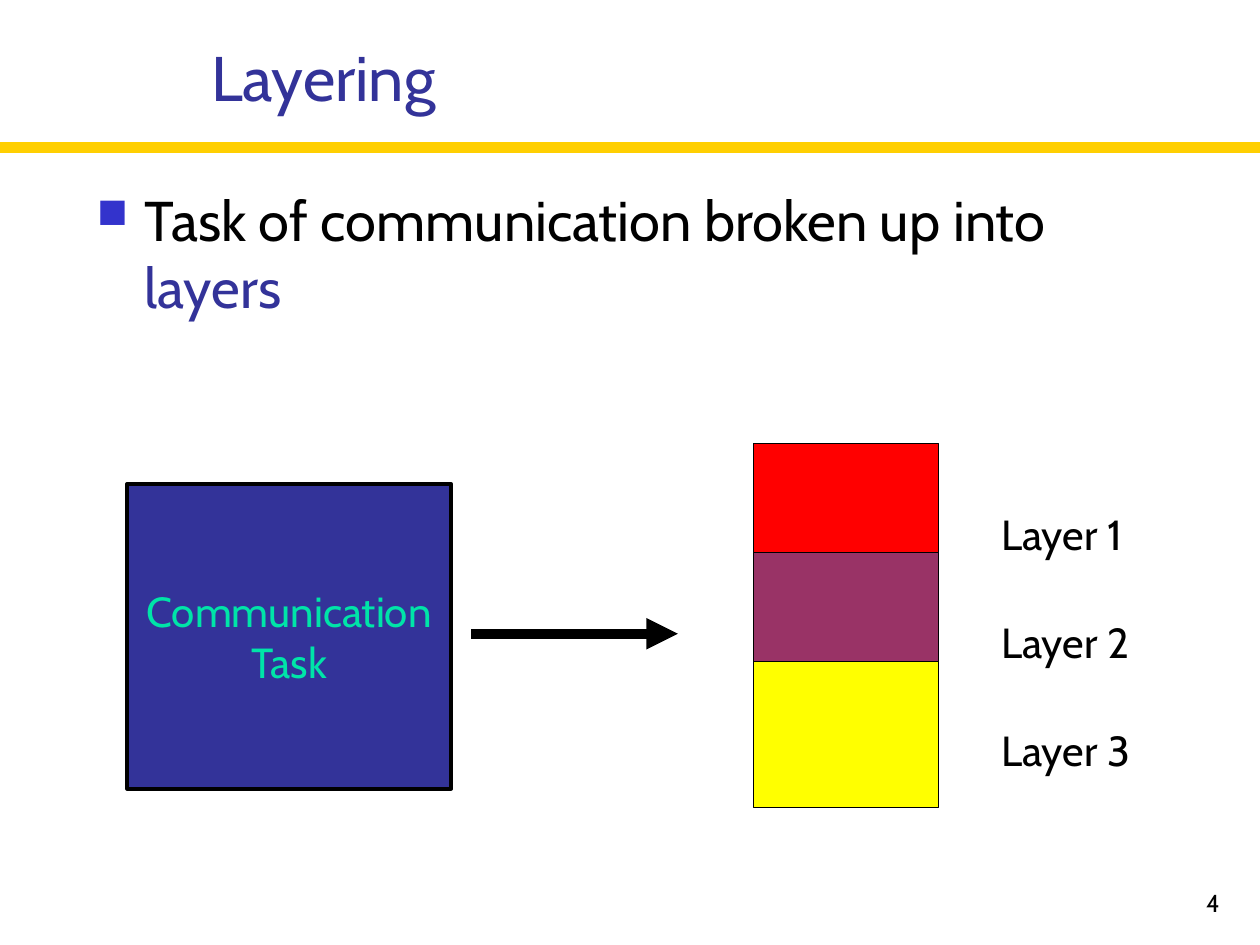
"""Build the Layering slide: a communication task split into three layers."""
from lxml import etree
from pptx import Presentation
from pptx.dml.color import RGBColor
from pptx.enum.shapes import MSO_CONNECTOR, MSO_SHAPE
from pptx.enum.text import MSO_ANCHOR, PP_ALIGN
from pptx.oxml.ns import qn
from pptx.util import Inches, Pt

RECTANGLE, STRAIGHT = MSO_SHAPE.RECTANGLE, MSO_CONNECTOR.STRAIGHT
TOP, MIDDLE, BOTTOM = MSO_ANCHOR.TOP, MSO_ANCHOR.MIDDLE, MSO_ANCHOR.BOTTOM
LEFT, CENTER, RIGHT = PP_ALIGN.LEFT, PP_ALIGN.CENTER, PP_ALIGN.RIGHT

FONT = "Cabin"
COLORS = {
    "ink": "000000", "indigo": "333399", "gold": "FFCF01", "mint": "00E4A8",
    "bullet": "3333CC", "red": "FF0000", "plum": "993366", "yellow": "FFFF00",
}
TITLE = [[("Layering", "indigo")]]
STATEMENT = [[("Task of communication broken up into ", "ink"), ("layers", "indigo")]]
TASK = [[("Communication", "mint")], [("Task", "mint")]]
LAYERS = [("Layer 1", "red"), ("Layer 2", "plum"), ("Layer 3", "yellow")]
PAGE = [[("4", "ink")]]

WIDTH, HEIGHT = 10, 7.5
RULE_Y = 1.17
ARROW_Y = 5.03
LAYER_LEFT, LAYER_TOP, LAYER_WIDTH, LAYER_HEIGHT = 5.98, 3.52, 1.47, 1.16
LAYER_STEP = 0.865
LABEL_LEFT, LABEL_TOP, LABEL_STEP = 7.85, 3.99, 0.855


def rgb(color):
    return RGBColor.from_string(COLORS[color])


def write(frame, paragraphs, size, align=LEFT, anchor=TOP):
    frame.word_wrap = True
    frame.vertical_anchor = anchor
    for index, runs in enumerate(paragraphs):
        paragraph = frame.paragraphs[0] if index == 0 else frame.add_paragraph()
        paragraph.alignment = align
        for text, color in runs:
            run = paragraph.add_run()
            run.text = text
            run.font.name = FONT
            run.font.size = Pt(size)
            run.font.color.rgb = rgb(color)


def add_text(slide, box, paragraphs, size, align=LEFT, anchor=TOP):
    frame = slide.shapes.add_textbox(*map(Inches, box)).text_frame
    write(frame, paragraphs, size, align, anchor)
    return frame


def add_block(slide, box, fill, weight):
    block = slide.shapes.add_shape(RECTANGLE, *map(Inches, box))
    block.shadow.inherit = False
    block.fill.solid()
    block.fill.fore_color.rgb = rgb(fill)
    block.line.color.rgb = rgb("ink")
    block.line.width = Pt(weight)
    return block


def add_line(slide, start, end, y, color):
    line = slide.shapes.add_connector(STRAIGHT, *map(Inches, (start, y, end, y)))
    line.line.color.rgb = rgb(color)
    line.line.width = Pt(6)
    etree.SubElement(line._element.spPr, qn("a:effectLst"))
    return line


def add_bullet(paragraph):
    properties = paragraph._p.get_or_add_pPr()
    properties.set("marL", str(Inches(0.38)))
    properties.set("indent", str(-Inches(0.38)))
    tint = etree.SubElement(properties, qn("a:buClr"))
    etree.SubElement(tint, qn("a:srgbClr"), val=COLORS["bullet"])
    etree.SubElement(properties, qn("a:buSzPct"), val="75000")
    etree.SubElement(properties, qn("a:buFont"), typeface="Wingdings")
    etree.SubElement(properties, qn("a:buChar"), char="n")


def main():
    deck = Presentation()
    deck.slide_width, deck.slide_height = Inches(WIDTH), Inches(HEIGHT)
    slide = deck.slides.add_slide(deck.slide_layouts[6])

    add_line(slide, 0, WIDTH, RULE_Y, "gold")
    add_text(slide, (7.7, 6.83, 2.08, 0.5), PAGE, 14, RIGHT, BOTTOM)
    statement = add_text(slide, (0.67, 1.42, 8.75, 2.25), STATEMENT, 32)
    add_bullet(statement.paragraphs[0])

    task = add_block(slide, (1.01, 3.84, 2.57, 2.42), "indigo", 2.25)
    write(task.text_frame, TASK, 24, CENTER, MIDDLE)
    arrow = add_line(slide, 3.74, 5.38, ARROW_Y, "ink")
    etree.SubElement(arrow.line._get_or_add_ln(), qn("a:tailEnd"), type="triangle")

    for row, (label, color) in enumerate(LAYERS):
        top = LAYER_TOP + row * LAYER_STEP
        add_block(slide, (LAYER_LEFT, top, LAYER_WIDTH, LAYER_HEIGHT), color, 0.75)
        label_top = LABEL_TOP + row * LABEL_STEP
        add_text(slide, (LABEL_LEFT, label_top, 1.29, 0.5), [[(label, "ink")]], 24)

    add_text(slide, (1.58, 0.26, 2.23, 0.7), TITLE, 36)
    deck.save("out.pptx")


if __name__ == "__main__":
    main()
